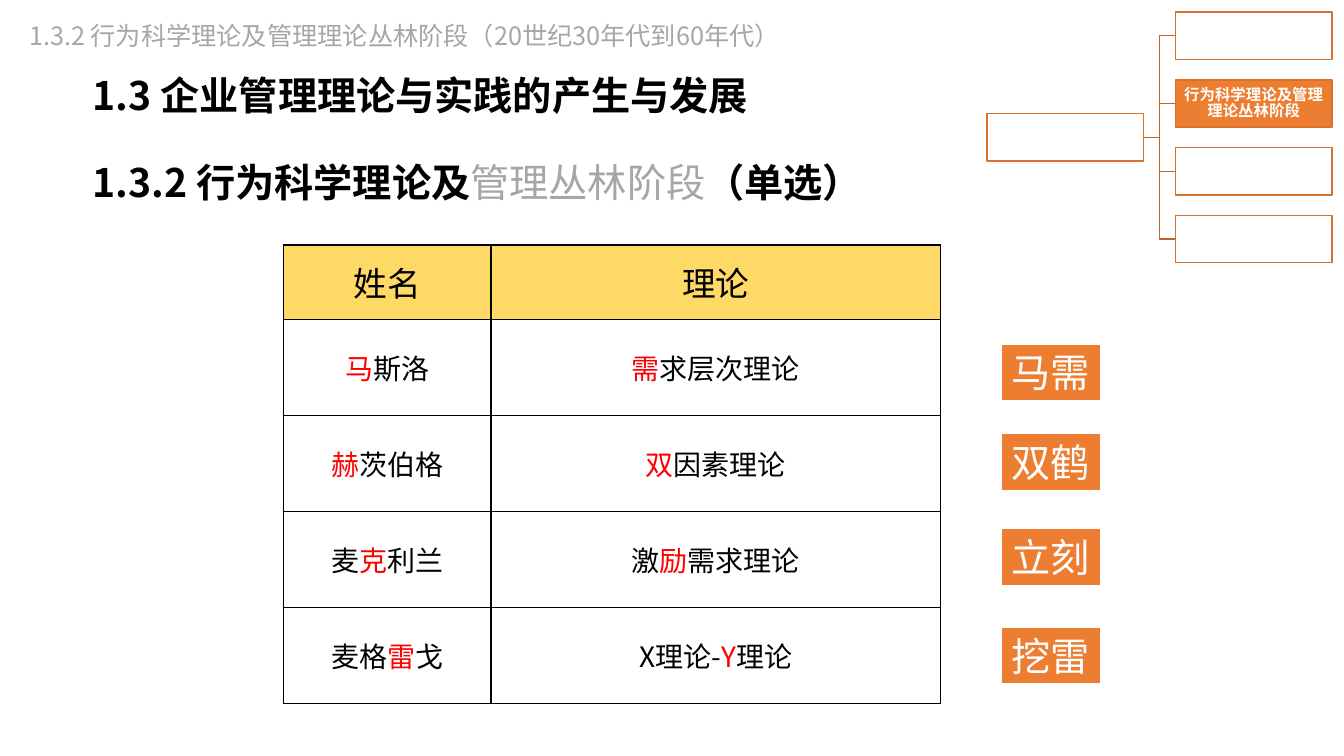
"""Build the slide on behavioural science and management theories."""
from lxml.etree import SubElement
from pptx import Presentation
from pptx.dml.color import RGBColor
from pptx.enum.shapes import MSO_SHAPE as Shape
from pptx.enum.text import MSO_ANCHOR as Anchor, PP_ALIGN as Align
from pptx.oxml.ns import qn
from pptx.util import Inches, Pt

BLACK = RGBColor(0x00, 0x00, 0x00)
WHITE = RGBColor(0xFF, 0xFF, 0xFF)
GREY = RGBColor(0xA6, 0xA6, 0xA6)
RED = RGBColor(0xFF, 0x00, 0x00)
GOLD = RGBColor(0xFF, 0xD9, 0x66)
ORANGE = RGBColor(0xED, 0x7D, 0x31)
OUTLINE = RGBColor(0xD7, 0x71, 0x2C)
BRANCH = RGBColor(0xBE, 0x64, 0x27)
SANS_SC = "Noto Sans CJK SC"
SANS_JP = "Noto Sans CJK JP"

THEORIES = [
    ("姓名", "理论"),
    ("*马*斯洛", "*需*求层次理论"),
    ("*赫*茨伯格", "*双*因素理论"),
    ("麦*克*利兰", "激*励*需求理论"),
    ("麦格*雷*戈", "X理论-*Y*理论"),
]
MNEMONICS = [("马需", 34.1), ("双鹤", 43), ("立刻", 52.4), ("挖雷", 62.2)]
STAGES = ["", "行为科学理论及管理理论丛林阶段", "", ""]


def grid(*steps):
    """Turn grid steps of a tenth of an inch into lengths."""
    return [Inches(step / 10) for step in steps]


def write(frame, text, size=28, font=SANS_SC, color=BLACK, accent=RED, bold=False,
          accent_bold=False, align=Align.LEFT, spacing=None):
    """Write text in which the parts between asterisks take the accent."""
    paragraph = frame.paragraphs[0]
    paragraph.alignment = align
    if spacing:
        paragraph.line_spacing = spacing
    for order, part in enumerate(text.split("*")):
        if not part:
            continue
        run = paragraph.add_run()
        run.text = part
        marked = order % 2 == 1
        run.font.size = Pt(size)
        run.font.bold = accent_bold if marked else bold
        run.font.color.rgb = accent if marked else color
        run.font.name = font
        SubElement(run.font._element, qn("a:ea"), typeface=font)


def set_insets(frame, across, down):
    """Set the side and the top and bottom insets of a frame."""
    frame.margin_left = frame.margin_right = Inches(across)
    frame.margin_top = frame.margin_bottom = Inches(down)


def add_heading(slide, place, text, insets=(0.12, 0.06), **style):
    """Add a wrapped heading."""
    frame = slide.shapes.add_textbox(*grid(*place)).text_frame
    frame.word_wrap = True
    set_insets(frame, *insets)
    write(frame, text, **style)


def add_box(slide, place, fill, line, weight=1):
    """Add a plain rectangle and return its text frame."""
    box = slide.shapes.add_shape(Shape.RECTANGLE, *grid(*place))
    box.shadow.inherit = False
    box.fill.solid()
    box.fill.fore_color.rgb = fill
    box.line.color.rgb = line
    box.line.width = Pt(weight)
    return box.text_frame


def add_branch(slide, points):
    """Add an open bent line through grid points."""
    start, *bends = [grid(*point) for point in points]
    outline = slide.shapes.build_freeform(*start, scale=1.0)
    outline.add_line_segments(bends, close=False)
    branch = outline.convert_to_shape()
    branch.shadow.inherit = False
    branch.fill.background()
    branch.line.color.rgb = BRANCH
    branch.line.width = Pt(1)


def add_stage_tree(slide):
    """Add the root box, its branches and the four stage boxes."""
    width, height, pitch = 15.5, 4.7, 6.72
    root, stage, first = 97.9, 116.6, 1.2
    middle = first + 1.5 * pitch + height / 2
    tops = [first + row * pitch for row in range(len(STAGES))]
    spine = (root + width + stage) / 2
    for top in tops:
        center = top + height / 2
        add_branch(slide, [(root + width, middle), (spine, middle),
                           (spine, center), (stage, center)])
    add_box(slide, (root, middle - height / 2, width, height), WHITE, OUTLINE)
    for top, label in zip(tops, STAGES):
        frame = add_box(slide, (stage, top, width, height),
                        ORANGE if label else WHITE, OUTLINE)
        if label:
            frame.word_wrap = True
            frame.vertical_anchor = Anchor.MIDDLE
            set_insets(frame, 0.01, 0.01)
            write(frame, label, size=11, color=WHITE, bold=True,
                  align=Align.CENTER, spacing=0.9)


def add_borders(cell):
    """Draw thin black borders round a cell."""
    properties = cell._tc.get_or_add_tcPr()
    for side in ("lnL", "lnR", "lnT", "lnB"):
        edge = SubElement(properties, qn(f"a:{side}"), w=str(Pt(1)))
        paint = SubElement(edge, qn("a:solidFill"))
        SubElement(paint, qn("a:srgbClr"), val=str(BLACK))


def add_theory_table(slide):
    """Add the table of names and theories."""
    table = slide.shapes.add_table(len(THEORIES), 2, *grid(28.1, 24.3, 65.2, 45.5)).table
    table.first_row = table.horz_banding = False
    for column, width in zip(table.columns, grid(20.6, 44.6)):
        column.width = width
    for row, height in zip(table.rows, grid(7.4, *[9.52] * 4)):
        row.height = height
    for row, texts in enumerate(THEORIES):
        for column, text in enumerate(texts):
            cell = table.cell(row, column)
            add_borders(cell)
            if row == 0:
                cell.fill.solid()
                cell.fill.fore_color.rgb = GOLD
            else:
                cell.fill.background()
            cell.vertical_anchor = Anchor.MIDDLE
            write(cell.text_frame, text, size=20 if row else 24,
                  font=SANS_JP, align=Align.CENTER)


def add_mnemonic(slide, text, top):
    """Add an orange memory hint."""
    frame = add_box(slide, (99.3, top, 9.9, 5.7), ORANGE, WHITE, weight=1.5)
    frame.word_wrap = False
    frame.vertical_anchor = Anchor.TOP
    write(frame, text, font="Calibri", color=WHITE)


def main():
    """Build and save the slide."""
    deck = Presentation()
    deck.slide_width, deck.slide_height = grid(133.3, 75)
    slide = deck.slides.add_slide(deck.slide_layouts[6])
    add_heading(slide, (8, 15.1, 121.6, 34.2),
                "1.3.2 行为科学理论及*管理丛林阶段*（单选）", accent=GREY, bold=True,
                accent_bold=False)
    add_heading(slide, (8, 6.5, 114.5, 5.9),
                "1.3 企业管理理论与实践的产生与发展", bold=True)
    add_heading(slide, (1.9, 1.5, 77.1, 4),
                "1.3.2 行为科学理论及管理理论丛林阶段（20世纪30年代到60年代）",
                insets=(0.1, 0.05), size=18, color=GREY, align=Align.JUSTIFY)
    add_stage_tree(slide)
    add_theory_table(slide)
    for text, top in MNEMONICS:
        add_mnemonic(slide, text, top)
    deck.save("out.pptx")


if __name__ == "__main__":
    main()
